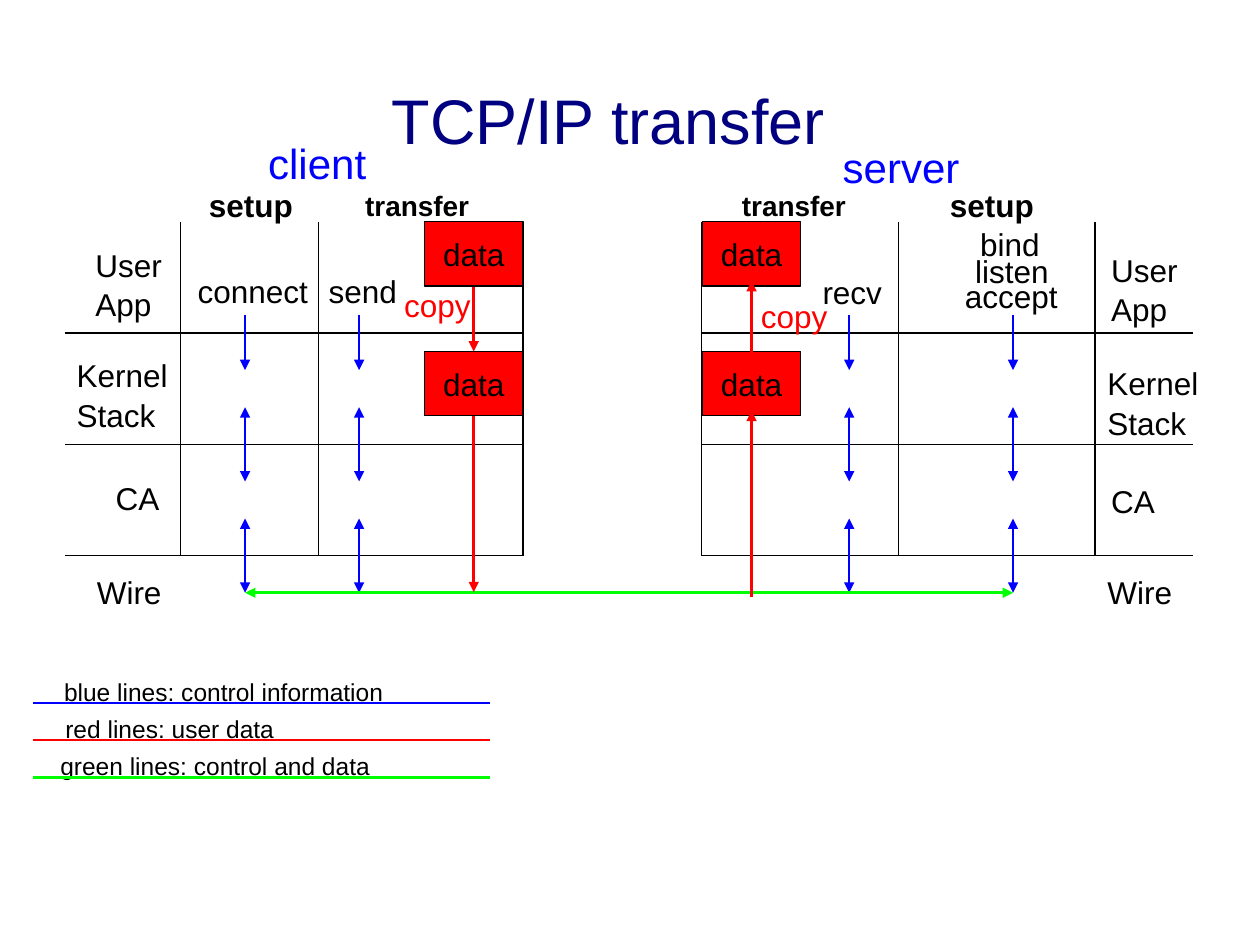
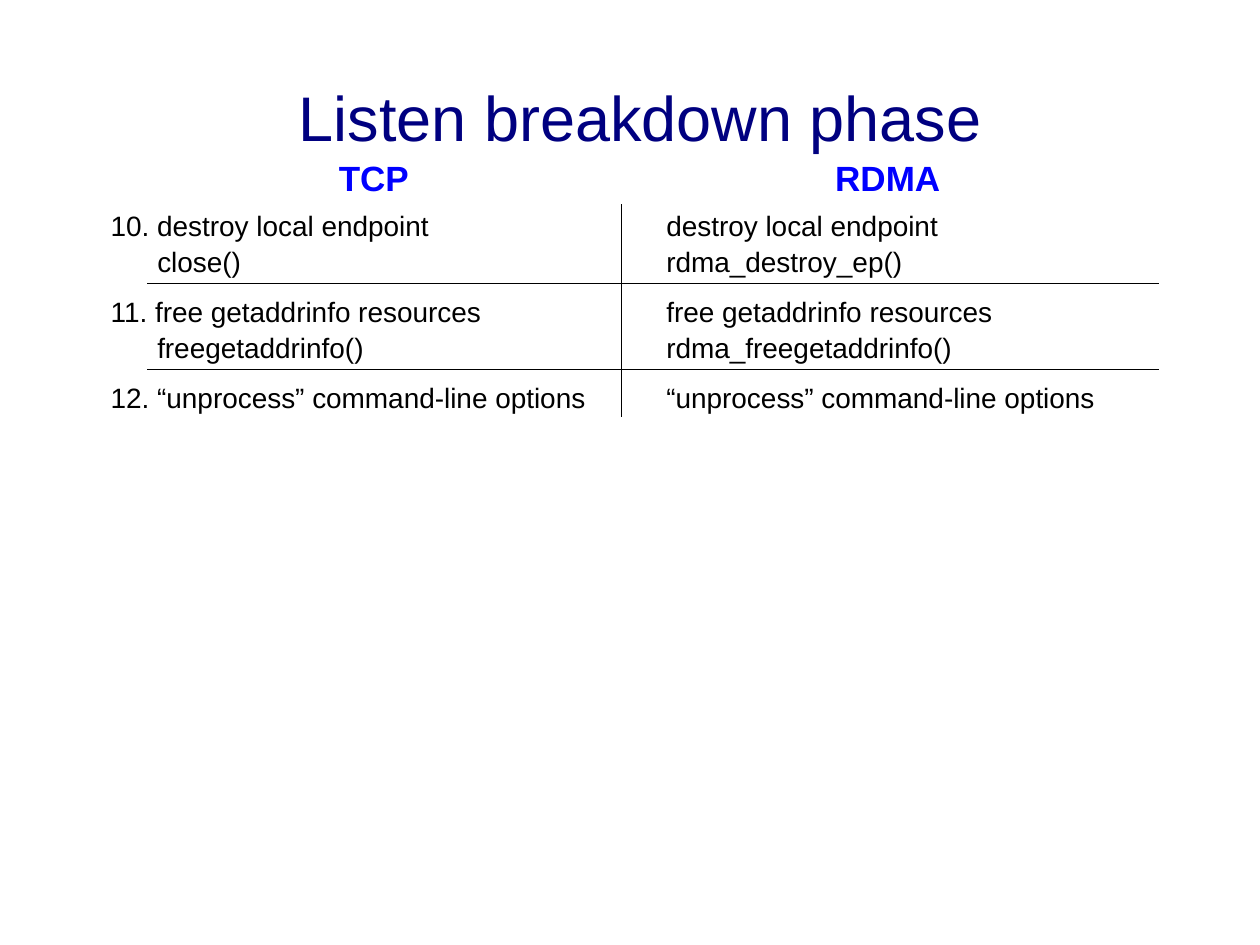
from dataclasses import dataclass

from lxml import etree
from pptx import Presentation
from pptx import util as u
from pptx.dml.color import RGBColor
from pptx.enum import shapes, text
from pptx.oxml import ns

# Shared style
FONT = "Arial"
BLACK = RGBColor(0x00, 0x00, 0x00)
NAVY = RGBColor(0x00, 0x00, 0x80)
BLUE = RGBColor(0x00, 0x00, 0xFF)
RED = RGBColor(0xFF, 0x00, 0x00)
GREEN = RGBColor(0x00, 0xFF, 0x00)
THIN, THICK = 0.75, 1.45

# Page grid: 100 columns by 75 rows, square cells
WIDTH, HEIGHT = u.Inches(10), u.Inches(7.5)
CELL = WIDTH / 100


def cells(count: float) -> int:
    return round(count * CELL)


@dataclass
class Label:
    text: str
    left: float
    top: float
    width: float
    size: float = 18
    color: RGBColor = BLACK
    bold: bool = False
    indent: float = 0  # columns before each line after the first


@dataclass
class Line:
    x1: float
    y1: float
    x2: float
    y2: float
    color: RGBColor = BLACK
    weight: float = THIN
    heads: tuple[str, ...] = ()


END, BOTH = ("tailEnd",), ("headEnd", "tailEnd")


def apply_format(target, values: dict) -> None:
    for name, value in values.items():
        setattr(target, name, value)


def write_text(box, label: Label, align=text.PP_ALIGN.LEFT,
               anchor=text.MSO_ANCHOR.TOP) -> None:
    frame = box.text_frame
    apply_format(frame, {
        "word_wrap": True, "auto_size": text.MSO_AUTO_SIZE.NONE,
        "vertical_anchor": anchor,
        "margin_left": cells(1), "margin_right": cells(1),
        "margin_top": cells(0.5), "margin_bottom": cells(0.5)})
    frame.text = label.text
    for index, para in enumerate(frame.paragraphs):
        para.alignment = align
        if index:
            para.space_before = u.Pt(1)
            if label.indent:
                para._p.get_or_add_pPr().set("marL", str(cells(label.indent)))
        for span in para.runs:
            apply_format(span.font, {"name": FONT, "size": u.Pt(label.size),
                                     "bold": label.bold})
            span.font.color.rgb = label.color


def add_label(page, label: Label) -> None:
    line_count = label.text.count("\n") + 1
    height = 1 + line_count * label.size / 6.1
    box = page.shapes.add_textbox(cells(label.left), cells(label.top),
                                  cells(label.width), cells(height))
    write_text(box, label)


def add_line(page, line: Line) -> None:
    connector = page.shapes.add_connector(
        shapes.MSO_CONNECTOR.STRAIGHT, cells(line.x1), cells(line.y1),
        cells(line.x2), cells(line.y2))
    connector.line.color.rgb = line.color
    connector.line.width = u.Pt(line.weight)
    properties = connector._element.spPr
    outline = properties.find(ns.qn("a:ln"))
    for head in line.heads:
        etree.SubElement(outline, ns.qn(f"a:{head}"), type="triangle")
    etree.SubElement(properties, ns.qn("a:effectLst"))


def add_page(deck, title: Label):
    page = deck.slides.add_slide(deck.slide_layouts[5])
    box = page.shapes.title
    apply_format(box, {"left": cells(title.left), "top": cells(title.top),
                       "width": cells(title.width), "height": cells(7)})
    write_text(box, title)
    return page


# TCP/IP transfer: three layers above the wire, nine steps high
STACK_TOP, STACK_BOTTOM = 17.6, 44.1
STEP = (STACK_BOTTOM - STACK_TOP) / 9
CLIENT_COLUMNS, CLIENT_SPAN = (14.3, 25.3, 41.5), (5.2, 41.5)
SERVER_COLUMNS, SERVER_SPAN = (55.7, 71.3, 86.9), (55.7, 94.7)
CONNECT_X, SEND_X, RECV_X, ACCEPT_X = 19.45, 28.5, 67.4, 80.4
CLIENT_DATA_X, SERVER_DATA_X = 37.6, 59.65
DATA_WIDTH, DATA_HEIGHT = 7.8, 5.1
USER_DATA_TOP, KERNEL_DATA_TOP = STACK_TOP, 27.9

TRANSFER_LABELS = [
    Label("client", 20.3, 10.4, 13, 24, BLUE),
    Label("server", 65.9, 10.7, 14.6, 24, BLUE),
    Label("setup", 15.6, 14.3, 11.2, bold=True),
    Label("setup", 74.4, 14.3, 11.2, bold=True),
    Label("transfer", 28, 14.5, 15, 16, bold=True),
    Label("transfer", 57.9, 14.5, 15, 16, bold=True),
    Label("User\nApp", 6.6, 19, 9.4),
    Label("Kernel\nStack", 5.1, 27.8, 11.9),
    Label("CA", 8.2, 37.5, 7.1),
    Label("Wire", 6.7, 45, 9.2),
    Label("User\nApp", 87.2, 19.4, 9.4),
    Label("Kernel\nStack", 86.9, 28.4, 11.9),
    Label("CA", 87.2, 37.8, 7.1),
    Label("Wire", 86.9, 45, 9.2),
    Label("connect", 14.7, 21.1, 13.9),
    Label("send", 25.1, 21.1, 9.6),
    Label("recv", 64.3, 21.2, 8.7),
    Label("bind", 76.8, 17.4, 8.7),
    Label("listen", 76.4, 19.5, 10.1),
    Label("accept", 75.6, 21.5, 12.1),
    Label("copy", 31.1, 22.2, 9.3, color=RED),
    Label("copy", 59.4, 23.1, 9.3, color=RED),
]

LEGEND = [
    (Label("blue lines: control information", 4.1, 53.2, 35.5, 14), BLUE),
    (Label("red lines: user data", 4.2, 56.2, 24.1, 14), RED),
    (Label("green lines: control and data", 3.8, 59.1, 34.5, 14), GREEN),
]


def step_y(step: float) -> float:
    return STACK_TOP + step * STEP


def add_data_box(page, center: float, top: float) -> None:
    left = center - DATA_WIDTH / 2
    box = page.shapes.add_shape(
        shapes.MSO_SHAPE.ROUNDED_RECTANGLE, cells(left), cells(top),
        cells(DATA_WIDTH), cells(DATA_HEIGHT))
    box.adjustments[0] = 0
    box.shadow.inherit = False
    box.fill.solid()
    box.fill.fore_color.rgb = RED
    box.line.color.rgb = BLACK
    box.line.width = u.Pt(THIN)
    write_text(box, Label("data", left, top, DATA_WIDTH),
               text.PP_ALIGN.CENTER, text.MSO_ANCHOR.MIDDLE)


def build_transfer(deck) -> None:
    page = add_page(deck, Label("TCP/IP transfer", 30.1, 6, 47.2, 36, NAVY))

    # Layer grids
    lines = []
    for columns, (left, right) in ((CLIENT_COLUMNS, CLIENT_SPAN),
                                   (SERVER_COLUMNS, SERVER_SPAN)):
        lines += [Line(x, STACK_TOP, x, STACK_BOTTOM) for x in columns]
        lines += [Line(left, step_y(s), right, step_y(s)) for s in (3, 6, 9)]

    # Control arrows across each layer border
    for x in (CONNECT_X, SEND_X, RECV_X, ACCEPT_X):
        for first, last, heads in ((2.5, 4, END), (5, 7, BOTH), (8, 10, BOTH)):
            lines.append(Line(x, step_y(first), x, step_y(last),
                              BLUE, THICK, heads))
    lines.append(Line(CONNECT_X, step_y(10), ACCEPT_X, step_y(10),
                      GREEN, THICK, BOTH))
    for line in lines:
        add_line(page, line)

    # User data: down through the client, up through the server
    for center in (CLIENT_DATA_X, SERVER_DATA_X):
        for top in (USER_DATA_TOP, KERNEL_DATA_TOP):
            add_data_box(page, center, top)
    for x, start, stop in ((CLIENT_DATA_X, 22.8, 27.9),
                           (CLIENT_DATA_X, 33, 47),
                           (SERVER_DATA_X, 47.4, 32.6),
                           (SERVER_DATA_X, 28.3, 22.3)):
        add_line(page, Line(x, start, x, stop, RED, THICK, END))

    for label in TRANSFER_LABELS:
        add_label(page, label)

    # Legend
    for index, (label, color) in enumerate(LEGEND):
        y = 55.8 + index * 2.95
        add_label(page, label)
        add_line(page, Line(2.6, y, 38.9, y, color, THICK))


# Listen breakdown: TCP calls beside RDMA calls
CALLS = [
    ("10. destroy local endpoint\nclose()",
     "destroy local endpoint\nrdma_destroy_ep()"),
    ("11. free getaddrinfo resources\nfreegetaddrinfo()",
     "free getaddrinfo resources\nrdma_freegetaddrinfo()"),
    ("12. “unprocess” command-line options",
     "“unprocess” command-line options"),
]
CALLS_TOP, CALL_PITCH = 16.1, 6.8


def build_breakdown(deck) -> None:
    page = add_page(deck, Label("Listen breakdown phase",
                                22.7, 5.7, 72.9, 36, NAVY))
    add_label(page, Label("TCP", 25.9, 11.9, 9.8, 20, BLUE, True))
    add_label(page, Label("RDMA", 65.3, 11.9, 13.5, 20, BLUE, True))
    add_line(page, Line(49.3, 16.2, 49.3, 33.1))
    for index, (tcp, rdma) in enumerate(CALLS):
        top = CALLS_TOP + index * CALL_PITCH
        add_label(page, Label(tcp, 7.8, top, 41, 16, indent=3.7))
        add_label(page, Label(rdma, 51.9, top, 41, 16))
        if index:
            add_line(page, Line(11.7, top - 0.4, 92, top - 0.4))


def main() -> None:
    deck = Presentation()
    deck.slide_width, deck.slide_height = WIDTH, HEIGHT
    build_transfer(deck)
    build_breakdown(deck)
    deck.save("out.pptx")


if __name__ == "__main__":
    main()
